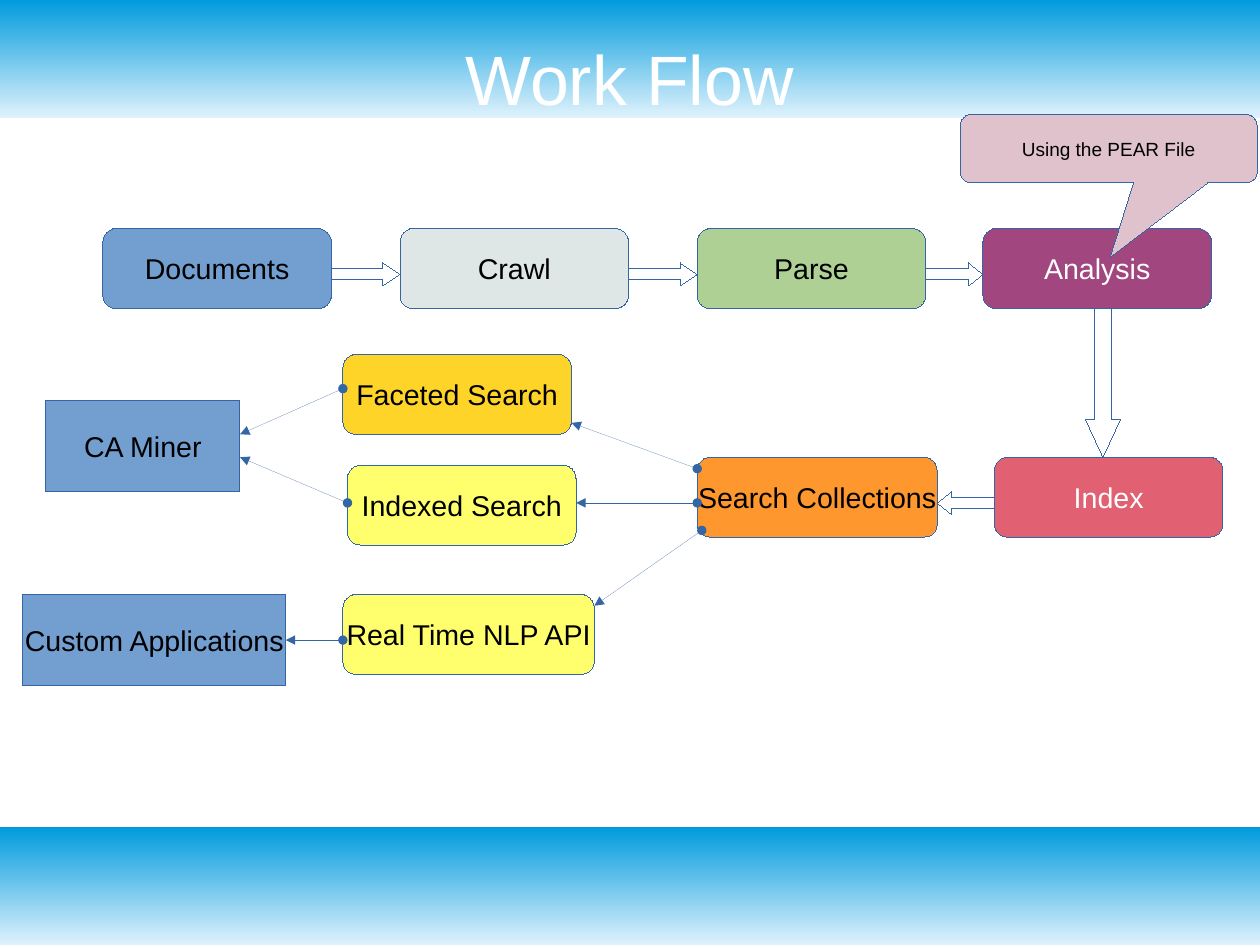
import lxml.etree
import pptx
import pptx.dml.color
import pptx.enum.shapes
import pptx.enum.text
import pptx.oxml.ns
import pptx.util

Pt = pptx.util.Pt
RGBColor = pptx.dml.color.RGBColor
SHAPE = pptx.enum.shapes.MSO_SHAPE

SLIDE_WIDTH, SLIDE_HEIGHT = 793.7, 595.28
BAND_HEIGHT = 74.2
STEP_WIDTH, STEP_HEIGHT = 144, 50.4
ARROW_THICKNESS = 14.4
FONT = "Arial"
RIGHT_SIDE = 3

BLACK = RGBColor(0x00, 0x00, 0x00)
WHITE = RGBColor(0xFF, 0xFF, 0xFF)
SKY = RGBColor(0x00, 0x9B, 0xDD)
PALE_SKY = RGBColor(0xDF, 0xF2, 0xFC)
OUTLINE = RGBColor(0x34, 0x65, 0xA4)
BLUE = RGBColor(0x72, 0x9F, 0xCF)
GRAY = RGBColor(0xDE, 0xE7, 0xE5)
GREEN = RGBColor(0xAF, 0xD0, 0x95)
PURPLE = RGBColor(0xA1, 0x46, 0x7E)
RED = RGBColor(0xE1, 0x61, 0x73)
ORANGE = RGBColor(0xFF, 0x97, 0x2F)
GOLD = RGBColor(0xFF, 0xD4, 0x28)
YELLOW = RGBColor(0xFF, 0xFF, 0x6D)
PINK = RGBColor(0xE0, 0xC2, 0xCD)


def add_text(shape, text, size, color):
    frame = shape.text_frame
    frame.vertical_anchor = pptx.enum.text.MSO_ANCHOR.MIDDLE
    paragraph = frame.paragraphs[0]
    paragraph.alignment = pptx.enum.text.PP_ALIGN.CENTER
    run = paragraph.add_run()
    run.text = text
    run.font.name = FONT
    run.font.size = Pt(size)
    run.font.color.rgb = color


def set_hairline(shape):
    """Color the line and write its zero width, which the theme would replace."""
    shape.line.color.rgb = OUTLINE
    line = shape.element.spPr.find(pptx.oxml.ns.qn("a:ln"))
    line.set("w", "0")
    return line


def add_outlined(slide, kind, box, fill):
    shape = slide.shapes.add_shape(kind, *map(Pt, box))
    shape.shadow.inherit = False
    shape.fill.solid()
    shape.fill.fore_color.rgb = fill
    set_hairline(shape)
    return shape


def add_node(slide, box, text, fill, color=BLACK, kind=SHAPE.ROUNDED_RECTANGLE, size=18):
    node = add_outlined(slide, kind, box, fill)
    node.text_frame.word_wrap = False
    add_text(node, text, size, color)
    return node


def add_block_arrow(slide, kind, box):
    # The head takes a quarter of the arrow's length
    arrow = add_outlined(slide, kind, box, WHITE)
    length, thickness = max(box[2:]), min(box[2:])
    arrow.adjustments[1] = length / 4 / thickness


def add_link(slide, target, source):
    """Thin line with a triangle at the target and a dot at the source."""
    link = slide.shapes.add_connector(
        pptx.enum.shapes.MSO_CONNECTOR.STRAIGHT, *map(Pt, target + source))
    line = set_hairline(link)
    for tag, ending in (("a:headEnd", "triangle"), ("a:tailEnd", "oval")):
        lxml.etree.SubElement(line, pptx.oxml.ns.qn(tag), type=ending)
    lxml.etree.SubElement(link.element.spPr, pptx.oxml.ns.qn("a:effectLst"))
    return link


def place_title(slide, box, text):
    title = slide.shapes.title
    title.left, title.top, title.width, title.height = map(Pt, box)
    frame = title.text_frame
    frame.auto_size = pptx.enum.text.MSO_AUTO_SIZE.NONE
    frame.margin_left = frame.margin_right = frame.margin_top = frame.margin_bottom = 0
    add_text(title, text, 44, WHITE)


def place_band(slide, box):
    band = slide.shapes.add_shape(SHAPE.RECTANGLE, *map(Pt, box))
    band.shadow.inherit = False
    band.line.fill.background()
    band.fill.gradient()
    band.fill.gradient_angle = 90
    for stop, color in zip(band.fill.gradient_stops, (PALE_SKY, SKY)):
        stop.color.rgb = color
    # Keep the band behind the title
    slide.shapes.title.element.addprevious(band.element)


def place_process(slide, box):
    left, top = box
    steps = (("Documents", BLUE, BLACK, 43.2), ("Crawl", GRAY, BLACK, 43.2),
             ("Parse", GREEN, BLACK, 36), ("Analysis", PURPLE, WHITE, 0))
    for text, fill, color, gap in steps:
        add_node(slide, (left, top, STEP_WIDTH, STEP_HEIGHT), text, fill, color)
        if gap:
            add_block_arrow(slide, SHAPE.RIGHT_ARROW,
                            (left + STEP_WIDTH, top + 21.6, gap, ARROW_THICKNESS))
        else:
            add_block_arrow(slide, SHAPE.DOWN_ARROW,
                            (left + 64.8, top + STEP_HEIGHT, 21.6, 93.6))
        left += STEP_WIDTH + gap


def place_callout(slide, box):
    callout = add_node(slide, box, "Using the PEAR File", PINK,
                       kind=SHAPE.ROUNDED_RECTANGULAR_CALLOUT, size=12)
    callout.adjustments[0] = 0.005
    callout.adjustments[1] = 1.583


def place_search(slide, box):
    left, top = box

    def at(x, y):
        return left + x, top + y

    # Index, collections and search types
    for x, y, width, text, fill, color in (
            (612, 64.8, STEP_WIDTH, "Index", RED, WHITE),
            (424.8, 64.8, 151.2, "Search Collections", ORANGE, BLACK),
            (201.6, 0, STEP_WIDTH, "Faceted Search", GOLD, BLACK),
            (204.5, 69.8, STEP_WIDTH, "Indexed Search", YELLOW, BLACK),
            (201.6, 151.2, 158.4, "Real Time NLP API", YELLOW, BLACK)):
        add_node(slide, at(x, y) + (width, STEP_HEIGHT), text, fill, color)
    add_block_arrow(slide, SHAPE.LEFT_ARROW, at(576, 86.4) + (36, ARROW_THICKNESS))

    # Applications
    applications = {}
    for x, y, width, text in ((14.4, 28.8, 122.4, "CA Miner"),
                              (0, 151.2, 165.6, "Custom Applications")):
        applications[text] = add_node(slide, at(x, y) + (width, 57.6), text, BLUE,
                                      kind=SHAPE.RECTANGLE)

    # Links from the collections to the search types, then to the miner
    for target, source in (((345.6, 43.2), (424.8, 72)),
                           ((348.5, 93.6), (424.8, 93.6)),
                           ((360, 158.4), (427.7, 110.9)),
                           ((136.8, 50.4), (201.6, 21.6)),
                           ((136.8, 64.8), (204.5, 93.6))):
        add_link(slide, at(*target), at(*source))

    # Link from the real time search to the custom applications
    custom = add_link(slide, at(165.6, 180), at(201.6, 180))
    custom.begin_connect(applications["Custom Applications"], RIGHT_SIDE)


def main():
    presentation = pptx.Presentation()
    presentation.slide_width = Pt(SLIDE_WIDTH)
    presentation.slide_height = Pt(SLIDE_HEIGHT)
    slide = presentation.slides.add_slide(presentation.slide_layouts[5])
    for top in (0, SLIDE_HEIGHT - BAND_HEIGHT):
        place_band(slide, (0, top, SLIDE_WIDTH, BAND_HEIGHT))
    place_title(slide, (39.6, 23.8, 714.24, 50.4), "Work Flow")
    place_process(slide, (64.8, 144))
    place_search(slide, (14.4, 223.2))
    place_callout(slide, (604.8, 72, 187.2, 43.2))
    presentation.save("out.pptx")


if __name__ == "__main__":
    main()
